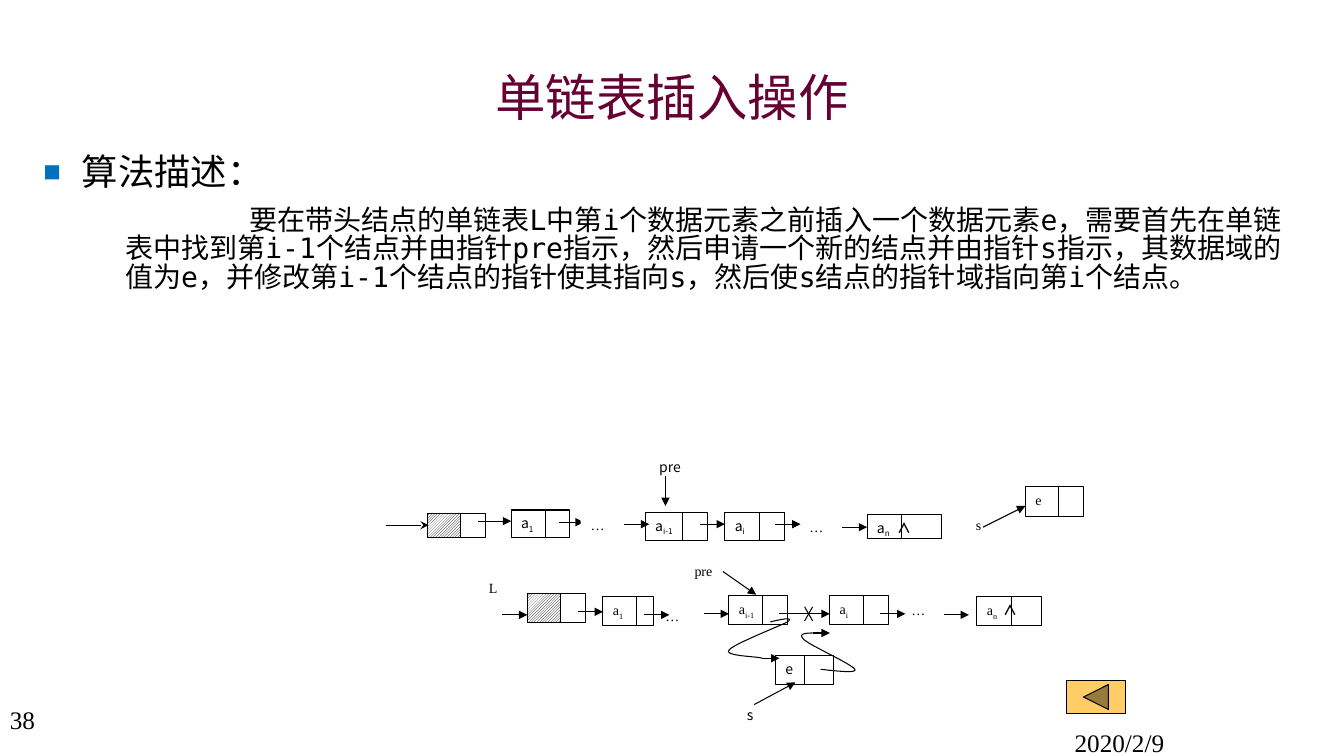
from lxml import etree
from pptx import Presentation
from pptx.dml.color import RGBColor
from pptx.enum.dml import MSO_PATTERN
from pptx.enum.shapes import MSO_CONNECTOR, MSO_SHAPE
from pptx.enum.text import MSO_ANCHOR, MSO_AUTO_SIZE, PP_ALIGN
from pptx.oxml.ns import qn
from pptx.util import Inches, Pt

RECT = MSO_SHAPE.RECTANGLE
BACK_BUTTON = MSO_SHAPE.ACTION_BUTTON_BACK_OR_PREVIOUS
STRAIGHT = MSO_CONNECTOR.STRAIGHT
HATCH = MSO_PATTERN.LIGHT_UPWARD_DIAGONAL
TOP, MIDDLE = MSO_ANCHOR.TOP, MSO_ANCHOR.MIDDLE
LEFT, CENTER = PP_ALIGN.LEFT, PP_ALIGN.CENTER
NO_FIT = MSO_AUTO_SIZE.NONE

C = {"ink": "000000", "paper": "FFFFFF", "title": "660033",
     "bullet": "0070C0", "button": "FFCC66"}
CJK, MONO, SERIF = "Noto Sans CJK SC", "DejaVu Sans Mono", "Times New Roman"
SW, SH = 13.33, 7.5
LINE = Pt(0.75)
STEP = 0.25  # length of a short pointer arrow

# Chinese and monospaced pieces alternate
DESCRIPTION = (
    "要在带头结点的单链表|L|中第|i|个数据元素之前插入一个数据元素|e|"
    "，需要首先在单链表中找到第|i-1|个结点并由指针|pre|"
    "指示，然后申请一个新的结点并由指针|s|指示，其数据域的值为|e|"
    "，并修改第|i-1|个结点的指针使其指向|s|，然后使|s|"
    "结点的指针域指向第|i|个结点。").split("|")


def rgb(name):
    return RGBColor.from_string(C[name])


def add_xml(parent, tag, **attrs):
    return etree.SubElement(parent, qn(tag), attrs)


def add_run(p, text, size, font, color="ink", sub=False, bold=False):
    r = p.add_run()
    r.text = text
    r.font.size, r.font.name = Pt(size), font
    r.font.color.rgb = rgb(color)
    if bold:
        r.font.bold = True
    rpr = r.font._element
    add_xml(rpr, "a:ea", typeface=font)
    if sub:
        rpr.set("baseline", "-25000")


def place(s, x, y, w, h):
    s.left, s.top, s.width, s.height = map(Inches, (x, y, w, h))


def set_indent(p, left, first):
    ppr = p._p.get_or_add_pPr()
    ppr.set("marL", str(Inches(left)))
    ppr.set("indent", str(Inches(first)))
    return ppr


def set_frame(s, anchor=TOP):
    tf = s.text_frame
    tf.word_wrap, tf.auto_size, tf.vertical_anchor = True, NO_FIT, anchor
    return tf


class Region:
    """Draws parts at offsets from its top left corner."""

    def __init__(self, slide, left, top, font=SERIF):
        self.shapes, self.left, self.top, self.font = slide.shapes, left, top, font

    def at(self, x, y):
        return Inches(self.left + x), Inches(self.top + y)

    def box(self, x, y, w, h, fill="paper", kind=RECT):
        s = self.shapes.add_shape(kind, *self.at(x, y), Inches(w), Inches(h))
        s.shadow.inherit = False
        s.fill.solid()
        s.fill.fore_color.rgb = rgb(fill)
        s.line.color.rgb, s.line.width = rgb("ink"), LINE
        return s

    def line(self, x1, y1, x2, y2, head=None):
        s = self.shapes.add_connector(STRAIGHT, *self.at(x1, y1), *self.at(x2, y2))
        s.line.color.rgb, s.line.width = rgb("ink"), LINE
        if head:
            add_xml(s.line._get_or_add_ln(), "a:tailEnd", type=head)
        add_xml(s._element.spPr, "a:effectLst")

    def arrow(self, x, y, length=STEP, head="triangle"):
        self.line(x, y, x + length, y, head)

    def label(self, x, y, text, w=0.5, h=0.3, size=10, font=None, mask=False):
        s = self.shapes.add_textbox(*self.at(x, y), Inches(w), Inches(h))
        if mask:
            s.fill.solid()
            s.fill.fore_color.rgb = rgb("paper")
        add_run(set_frame(s).paragraphs[0], text, size, font or self.font)

    def dots(self, x, y):
        self.label(x, y, "…", h=0.24, font=SERIF, mask=True)

    def node(self, x, y, w, h, split, data="", sub="", null_tab=0):
        s = self.box(x, y, w, h)
        self.line(x + split, y, x + split, y + h)
        if not data:
            return
        p = set_frame(s).paragraphs[0]
        p.alignment = LEFT
        if null_tab:
            tabs = add_xml(p._p.get_or_add_pPr(), "a:tabLst")
            add_xml(tabs, "a:tab", pos=str(Inches(null_tab)), algn="l")
        add_run(p, data, 10, self.font)
        if sub:
            add_run(p, sub, 10, self.font, sub=True)
        if null_tab:
            add_run(p, "\t∧", 10, CJK, bold=True)

    def head_node(self, x, y, w, h, split):
        self.node(x, y, w, h, split)
        s = self.box(x, y, split, h)
        s.fill.patterned()
        s.fill.pattern = HATCH
        s.fill.fore_color.rgb, s.fill.back_color.rgb = rgb("ink"), rgb("paper")

    def curve(self, start, *beziers, steps=12):
        points, p0 = [], start
        for p1, p2, p3 in beziers:
            for t in (i / steps for i in range(1, steps + 1)):
                u = 1 - t
                weights = u ** 3, 3 * u * u * t, 3 * u * t * t, t ** 3
                points.append(self.at(*(
                    sum(k * p[axis] for k, p in zip(weights, (p0, p1, p2, p3)))
                    for axis in (0, 1))))
            p0 = p3
        fb = self.shapes.build_freeform(*self.at(*start))
        fb.add_line_segments(points, close=False)
        s = fb.convert_to_shape()
        s.shadow.inherit = False
        s.fill.background()
        s.line.color.rgb, s.line.width = rgb("ink"), LINE


def add_title(s, x, y, w, h):
    place(s, x, y, w, h)
    p = set_frame(s, MIDDLE).paragraphs[0]
    p.alignment = CENTER
    add_run(p, "单链表插入操作", 36, CJK, "title")


def add_description(s, x, y, w, h):
    place(s, x, y, w, h)
    tf = set_frame(s)
    p = tf.paragraphs[0]
    p.line_spacing, p.space_before = 0.85, Pt(0)
    ppr = set_indent(p, 0.38, -0.38)
    add_xml(add_xml(ppr, "a:buClr"), "a:srgbClr", val=C["bullet"])
    add_xml(ppr, "a:buSzPct", val="80000")
    add_xml(ppr, "a:buChar", char="■")
    add_run(p, "算法描述：", 26, CJK)

    p = tf.add_paragraph()
    p.level, p.line_spacing, p.space_before = 1, 0.85, Pt(10)
    add_xml(set_indent(p, 0.81, 1.23), "a:buNone")
    for i, piece in enumerate(DESCRIPTION):
        add_run(p, piece, 20, MONO if i % 2 else CJK)


def add_list_before(slide, left, top):
    g = Region(slide, left, top, CJK)
    g.head_node(0.41, 0.59, 0.58, 0.24, 0.33)
    g.node(1.24, 0.56, 0.58, 0.27, 0.34, "a", "1")
    g.arrow(1.71, 0.68)
    g.dots(1.93, 0.58)
    g.dots(4.1, 0.59)
    g.node(2.57, 0.58, 0.62, 0.28, 0.37, "a", "i-1")
    g.node(3.36, 0.58, 0.59, 0.28, 0.34, "a", "i")
    g.node(4.77, 0.6, 0.74, 0.24, 0.34, "a", "n", null_tab=0.2)
    g.arrow(0, 0.71, 0.42, "stealth")
    g.arrow(0.91, 0.67, 0.33)
    for x in (2.36, 3.11, 3.86):
        g.arrow(x, 0.7)
    g.arrow(4.52, 0.73)
    # Pointer pre and the new node
    g.label(2.61, 0, "pre")
    g.line(2.77, 0.22, 2.77, 0.52, "triangle")
    new = Region(slide, left + 5.75, top + 0.33)
    new.node(0.59, 0, 0.58, 0.29, 0.33, "e")
    new.label(0, 0.25, "s", w=0.3)
    new.line(0.17, 0.4, 0.59, 0.19, "triangle")


def add_list_after(slide, left, top):
    g = Region(slide, left, top)
    g.label(0, 0.2, "L", w=0.33)
    g.dots(1.75, 0.48)
    g.dots(4.19, 0.42)
    g.head_node(0.48, 0.39, 0.58, 0.29, 0.33)
    g.node(1.23, 0.42, 0.5, 0.29, 0.33, "a", "1")
    g.node(2.48, 0.41, 0.58, 0.29, 0.33, "a", "i-1")
    g.node(3.48, 0.41, 0.58, 0.29, 0.33, "a", "i")
    g.node(4.94, 0.42, 0.64, 0.29, 0.34, "a", "n", null_tab=0.16)
    for x, y in ((0.23, 0.6), (0.98, 0.57), (1.64, 0.6), (2.23, 0.59),
                 (3.98, 0.59), (4.61, 0.6)):
        g.arrow(x, y)
    # Removed link, crossed out
    g.arrow(2.98, 0.59, 0.5)
    g.line(3.31, 0.52, 3.23, 0.66)
    g.line(3.23, 0.52, 3.31, 0.66)
    # Inserted node and its two new links
    new = Region(slide, left, top, CJK)
    new.node(2.94, 1, 0.58, 0.29, 0.29, "e")
    new.label(2.56, 1.46, "s", w=0.33)
    g.line(2.73, 1.49, 3.14, 1.27, "triangle")
    g.curve((2.89, 0.67), ((3.01, 0.64), (3.13, 0.62), (3.06, 0.67)),
            ((2.99, 0.71), (2.52, 0.89), (2.48, 0.95)),
            ((2.43, 1.01), (2.75, 1.01), (2.81, 1.03)))
    g.arrow(2.81, 1.03, 0.17)
    g.curve((3.39, 1.14), ((3.57, 1.16), (3.75, 1.18), (3.73, 1.14)),
            ((3.7, 1.09), (3.3, 0.91), (3.23, 0.85)),
            ((3.16, 0.79), (3.23, 0.78), (3.31, 0.78)))
    g.arrow(3.31, 0.78, 0.17)
    # Pointer pre
    g.label(2.04, 0.03, "pre", w=0.43)
    g.line(2.42, 0.17, 2.75, 0.4, "triangle")


def add_footer(slide, left, top):
    g = Region(slide, left, top)
    g.label(0, 0.19, "38", w=0.86, h=0.53, size=18)
    g.label(10.56, 0.42, "2020/2/9", w=2.77, h=0.33, size=18)
    g.box(10.58, 0, 0.58, 0.33, "button", BACK_BUTTON)


def main():
    prs = Presentation()
    prs.slide_width, prs.slide_height = Inches(SW), Inches(SH)
    slide = prs.slides.add_slide(prs.slide_layouts[1])
    title, body = slide.placeholders
    add_title(title, 1, 0.58, SW - 2, SH * 0.1)
    add_description(body, 0.33, SH * 0.2, SW * 0.95, 5.67)
    add_footer(slide, 0, SH * 0.9)
    add_list_before(slide, 3.83, SH * 0.6)
    add_list_after(slide, 4.75, 5.5)
    prs.save("out.pptx")


if __name__ == "__main__":
    main()
